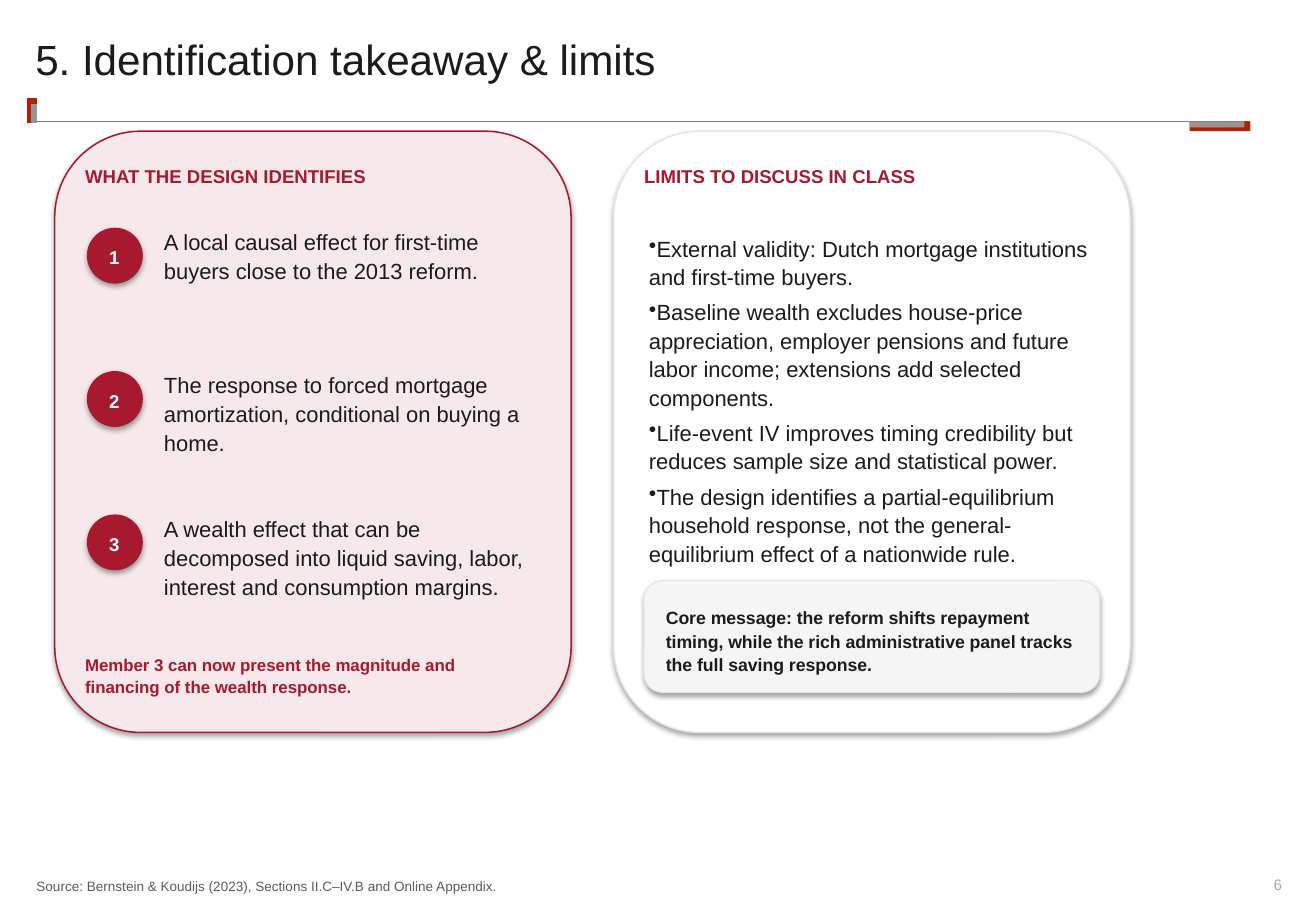
"""Build the identification takeaway and limits slide."""
from dataclasses import dataclass

from lxml import etree
from pptx import Presentation
from pptx.dml.color import RGBColor
from pptx.enum.shapes import MSO_CONNECTOR, MSO_SHAPE
from pptx.enum.text import MSO_ANCHOR, MSO_AUTO_SIZE, PP_ALIGN
from pptx.oxml.ns import qn
from pptx.util import Inches, Pt

ROUNDED = MSO_SHAPE.ROUNDED_RECTANGLE
RECTANGLE = MSO_SHAPE.RECTANGLE
OVAL = MSO_SHAPE.OVAL
STRAIGHT = MSO_CONNECTOR.STRAIGHT
TOP, BOTTOM = MSO_ANCHOR.TOP, MSO_ANCHOR.BOTTOM
LEFT, CENTER, RIGHT = PP_ALIGN.LEFT, PP_ALIGN.CENTER, PP_ALIGN.RIGHT
GROW = MSO_AUTO_SIZE.SHAPE_TO_FIT_TEXT


@dataclass(frozen=True)
class Theme:
    """Colours, type sizes and grid cell of the slide."""
    font: str = "Arial"
    ink: str = "1B1B1B"
    crimson: str = "A6192E"
    blush: str = "F7E9EB"
    white: str = "FFFFFF"
    mist: str = "F5F5F5"
    border: str = "E6E6E6"
    rust: str = "B42100"
    gray: str = "969696"
    rule: str = "808080"
    source: str = "5B5B5B"
    page: str = "ADABA1"
    title_size: float = 25
    body_size: float = 13
    heading_size: float = 11
    message_size: float = 10.5
    note_size: float = 10
    page_size: float = 9
    source_size: float = 8
    cell: float = 0.1


class SlideBuilder:
    """Draw styled elements on a slide, placed by grid columns and rows."""

    def __init__(self, slide, theme):
        """Keep the slide and its theme."""
        self.slide = slide
        self.theme = theme

    def grid(self, *cells):
        """Turn grid cells into lengths."""
        return [Inches(count * self.theme.cell) for count in cells]

    def shape(self, kind, area, fill, line=None, width=0.75):
        """Add a filled shape; outlined shapes also cast a shadow."""
        shape = self.slide.shapes.add_shape(kind, *self.grid(*area))
        shape.fill.solid()
        shape.fill.fore_color.rgb = RGBColor.from_string(fill)
        shape.shadow.inherit = False
        if line is None:
            shape.line.fill.background()
            return
        shape.line.color.rgb = RGBColor.from_string(line)
        shape.line.width = Pt(width)
        effects = shape._element.spPr.find(qn("a:effectLst"))
        shadow = etree.SubElement(
            effects, qn("a:outerShdw"), blurRad=str(Pt(3.1)),
            dist=str(Pt(1.8)), dir="5400000", rotWithShape="0")
        color = etree.SubElement(shadow, qn("a:srgbClr"), val="000000")
        etree.SubElement(color, qn("a:alpha"), val="35000")

    def line(self, ends, color, width):
        """Add a straight line between two grid points."""
        connector = self.slide.shapes.add_connector(STRAIGHT, *self.grid(*ends))
        connector.line.color.rgb = RGBColor.from_string(color)
        connector.line.width = Pt(width)
        etree.SubElement(connector._element.spPr, qn("a:effectLst"))

    def text(self, area, text, size, color, bold=False, align=LEFT, anchor=TOP,
             spacing=1.1, inset=0, after=0, bullet=None, auto_size=GROW):
        """Add a text box with one paragraph per line of text."""
        box = self.slide.shapes.add_textbox(*self.grid(*area))
        frame = box.text_frame
        frame.word_wrap = True
        frame.auto_size = auto_size
        frame.vertical_anchor = anchor
        frame.margin_left = frame.margin_right = Inches(inset)
        frame.margin_top = frame.margin_bottom = Inches(inset)
        frame.text = text
        for paragraph in frame.paragraphs:
            paragraph.alignment = align
            paragraph.line_spacing = spacing
            paragraph.space_after = Pt(after)
            if bullet:
                properties = paragraph._p.get_or_add_pPr()
                properties.set("marL", "0")
                properties.set("indent", "0")
                etree.SubElement(properties, qn("a:buChar"), char=bullet)
            for run in paragraph.runs:
                run.font.name = self.theme.font
                run.font.size = Pt(size)
                run.font.bold = bold
                run.font.color.rgb = RGBColor.from_string(color)

    def panel(self, column, heading, fill, line):
        """Add a tall rounded panel with its heading."""
        theme = self.theme
        self.shape(ROUNDED, (column, 10.8, 42.5, 49.5), fill, line, 0.9)
        self.text((column + 2.5, 13.4, 37.5, 2.8), heading,
                  theme.heading_size, theme.crimson, bold=True)

    def numbered_point(self, row, number, text):
        """Add a numbered disc with its statement."""
        theme = self.theme
        self.shape(OVAL, (7.2, row, 4.5, 4.5), theme.crimson, theme.crimson)
        self.text((8.2, row + 1.3, 2.4, 1.2), str(number), theme.heading_size,
                  theme.white, bold=True, align=CENTER)
        self.text((13.5, row - 0.2, 30, 7.8), text, theme.body_size, theme.ink)


POINTS = [
    "A local causal effect for first-time buyers close to the 2013 reform.",
    "The response to forced mortgage amortization, conditional on buying a home.",
    "A wealth effect that can be decomposed into liquid saving, labor, "
    "interest and consumption margins.",
]
LIMITS = [
    "External validity: Dutch mortgage institutions and first-time buyers.",
    "Baseline wealth excludes house-price appreciation, employer pensions and "
    "future labor income; extensions add selected components.",
    "Life-event IV improves timing credibility but reduces sample size and "
    "statistical power.",
    "The design identifies a partial-equilibrium household response, not the "
    "general-equilibrium effect of a nationwide rule.",
]


def main():
    """Build and save the presentation."""
    theme = Theme()
    presentation = Presentation()
    presentation.slide_width = Inches(10.83)
    presentation.slide_height = Inches(7.5)
    slide = presentation.slides.add_slide(presentation.slide_layouts[6])
    builder = SlideBuilder(slide, theme)

    builder.text((102.4, 72.1, 3.1, 1.5), "6", theme.page_size, theme.page,
                 align=RIGHT, anchor=BOTTOM, spacing=1.0, auto_size=None)
    builder.line((3, 10, 102.8, 10), theme.rule, 1)
    builder.line((2.6, 10.1, 2.6, 8.1), theme.rust, 6)
    builder.line((2.8, 10.1, 2.8, 8.6), theme.gray, 3)
    builder.shape(RECTANGLE, (97.9, 10, 5, 0.8), theme.rust)
    builder.shape(RECTANGLE, (97.9, 10, 4.5, 0.5), theme.gray)
    builder.text((2.9, 3.2, 102.5, 6.7), "5. Identification takeaway & limits",
                 theme.title_size, theme.ink, spacing=0.9, auto_size=None)

    builder.panel(4.5, "WHAT THE DESIGN IDENTIFIES", theme.blush, theme.crimson)
    for index, point in enumerate(POINTS):
        builder.numbered_point(18.8 + 11.8 * index, index + 1, point)
    builder.text((7, 53.7, 36.5, 3.5),
                 "Member 3 can now present the magnitude and financing of the "
                 "wealth response.", theme.note_size, theme.crimson, bold=True)

    builder.panel(50.5, "LIMITS TO DISCUSS IN CLASS", theme.white, theme.border)
    builder.text((53, 18.8, 37, 27.5), "\n".join(LIMITS), theme.body_size,
                 theme.ink, spacing=1.08, inset=0.04, after=4, bullet="•")
    builder.shape(ROUNDED, (53, 47.8, 37.5, 9.2), theme.mist, theme.border, 0.7)
    builder.text((54.8, 49.8, 34, 5.2),
                 "Core message: the reform shifts repayment timing, while the rich "
                 "administrative panel tracks the full saving response.",
                 theme.message_size, theme.ink, bold=True)

    builder.text((3, 71.9, 87.5, 1.7),
                 "Source: Bernstein & Koudijs (2023), Sections II.C–IV.B and "
                 "Online Appendix.", theme.source_size, theme.source, anchor=BOTTOM)
    presentation.save("out.pptx")


if __name__ == "__main__":
    main()
